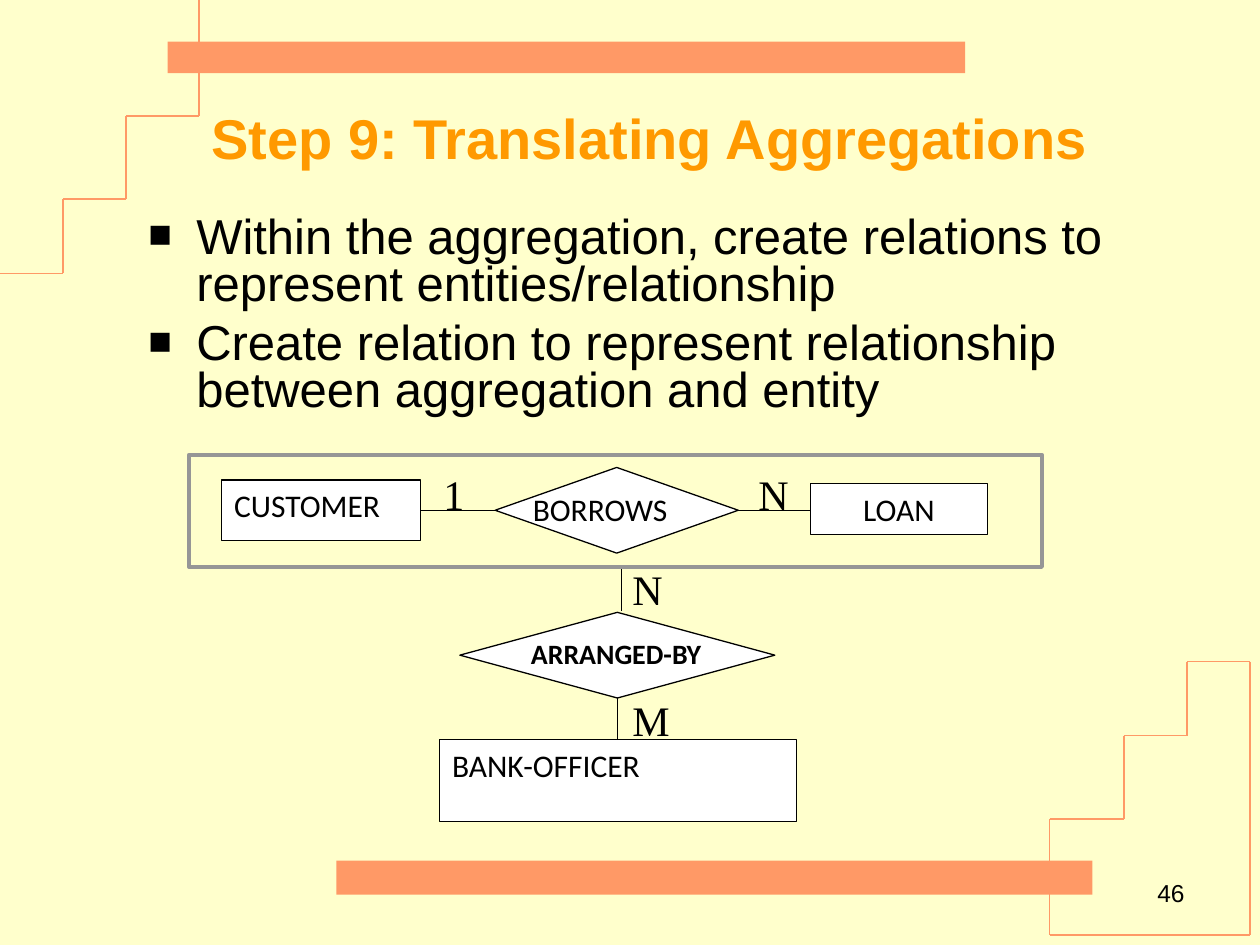
import pptx
import pptx.util
import pptx.dml.color
import pptx.enum.shapes
import pptx.enum.text
import pptx.oxml
import pptx.oxml.ns
from lxml import etree

Inches, Pt = pptx.util.Inches, pptx.util.Pt
tint = pptx.dml.color.RGBColor.from_string
kinds = pptx.enum.shapes.MSO_SHAPE
aligns = pptx.enum.text.PP_ALIGN
anchors = pptx.enum.text.MSO_ANCHOR
qn = pptx.oxml.ns.qn

deck = pptx.Presentation()
deck.slide_width, deck.slide_height = Inches(10), Inches(7.5)
slide = deck.slides.add_slide(deck.slide_layouts[6])
slide.background.fill.solid()
slide.background.fill.fore_color.rgb = tint("FFFFCC")
shapes = slide.shapes


def draw(kind, place, fill=None, edge=None, width=0.75):
    """Add a preset shape, or a text box when kind is None."""
    place = [Inches(n) for n in place]
    if kind is None:
        return shapes.add_textbox(*place)
    shape = shapes.add_shape(kind, *place)
    shape.shadow.inherit = False
    if fill:
        shape.fill.solid()
        shape.fill.fore_color.rgb = tint(fill)
    else:
        shape.fill.background()
    if edge:
        shape.line.color.rgb = tint(edge)
        shape.line.width = Pt(width)
    else:
        shape.line.fill.background()
    return shape


def write(shape, text, face, size, align="LEFT", anchor="TOP", wrap=True,
          bold=False, ink="000000", bullet=None):
    """Fill a shape with one paragraph per line of text."""
    frame = shape.text_frame
    frame.word_wrap = wrap
    frame.vertical_anchor = anchors[anchor]
    for i, line in enumerate(text.split("\n")):
        para = frame.paragraphs[0] if i == 0 else frame.add_paragraph()
        para.text = line
        para.alignment = aligns[align]
        if bullet:
            para.line_spacing = 0.8
            para.space_before = Pt(7 if i else 0)
            props = para._p.get_or_add_pPr()
            props.set("marL", str(Inches(0.38)))
            props.set("indent", str(-Inches(0.38)))
            etree.SubElement(props, qn("a:buSzPct"), val="80000")
            etree.SubElement(props, qn("a:buFont"), typeface="Arial")
            etree.SubElement(props, qn("a:buChar"), char=bullet)
        look = {"name": face, "size": Pt(size), "bold": bold}
        for key, value in look.items():
            setattr(para.font, key, value)
        para.font.color.rgb = tint(ink)


# Corner stairs, then diagram links: colour and the points each passes
top = [(1.58, 0), (1.58, 0.92), (1, 0.92), (1, 1.58), (0.5, 1.58),
       (0.5, 2.17), (0, 2.17)]
low = [(8.33, 7.42), (8.33, 6.5), (8.92, 6.5), (8.92, 5.84), (9.42, 5.84),
       (9.42, 5.25), (9.92, 5.25), (9.92, 7.42), (8.33, 7.42)]
links = [[(5.86, 4.05), (6.43, 4.05)], [(3.34, 4.05), (3.93, 4.05)],
         [(4.93, 4.5), (4.93, 4.85)], [(4.9, 5.54), (4.9, 5.87)]]
routes = [("FF9966", top), ("FF9966", low)]
routes += [("000000", link) for link in links]
for hue, points in routes:
    for start, end in zip(points, points[1:]):
        line = shapes.add_connector(
            pptx.enum.shapes.MSO_CONNECTOR.STRAIGHT,
            *[Inches(n) for n in start + end])
        line.line.color.rgb = tint(hue)
        line.line.width = Pt(0.75)
        etree.SubElement(line._element.spPr, qn("a:effectLst"))

# Bars
for place in [(1.33, 0.33, 6.33, 0.25), (2.67, 6.83, 6, 0.27)]:
    draw(kinds.RECTANGLE, place, "FF9966")

# Title, bullets and page number
write(draw(None, (1.58, 0.67, 8, 0.83)), "Step 9: Translating Aggregations",
      "Arial", 32, anchor="MIDDLE", bold=True, ink="FF9900")
write(draw(None, (1.08, 1.67, 8.58, 1.8)),
      "Within the aggregation, create relations to represent "
      "entities/relationship\n"
      "Create relation to represent relationship between aggregation "
      "and entity", "Arial", 28, bullet="■")
write(draw(None, (8.58, 6.58, 0.92, 0.67)), "46", "Arial", 14,
      align="RIGHT", anchor="BOTTOM")

# Aggregation frame and entities
draw(kinds.RECTANGLE, (1.5, 3.61, 6.77, 0.89), edge="969696", width=2.25)
for name, place, align in [("CUSTOMER", (1.76, 3.81, 1.58, 0.48), "LEFT"),
                           ("LOAN", (6.43, 3.84, 1.41, 0.4), "CENTER"),
                           ("BANK-OFFICER", (3.49, 5.87, 2.83, 0.65), "LEFT")]:
    node = draw(kinds.RECTANGLE, place, "FFFFFF", "000000")
    write(node, name, "Calibri", 18, align=align)

# Relationships: a diamond with a wider label over it
for name, place, label, look in [
        ("BORROWS", (3.93, 3.71, 1.93, 0.68), (4.13, 3.84, 1.51, 0.41),
         {"size": 18}),
        ("ARRANGED-BY", (3.65, 4.86, 2.5, 0.68), (3.42, 5, 2.94, 0.48),
         {"size": 16, "align": "CENTER", "bold": True})]:
    draw(kinds.DIAMOND, place, "FFFFFF", "000000")
    write(draw(None, label), name, "Calibri", **look)

# Cardinalities
for mark, left, high, wide in [("1", 3.42, 3.67, 0.36), ("N", 4.92, 4.42, 0.44),
                               ("N", 5.92, 3.67, 0.44), ("M", 4.92, 5.46, 0.49)]:
    write(draw(None, (left, high, wide, 0.5)), mark, "Times New Roman", 24,
          align="CENTER", anchor="MIDDLE", wrap=False)

deck.save("out.pptx")
